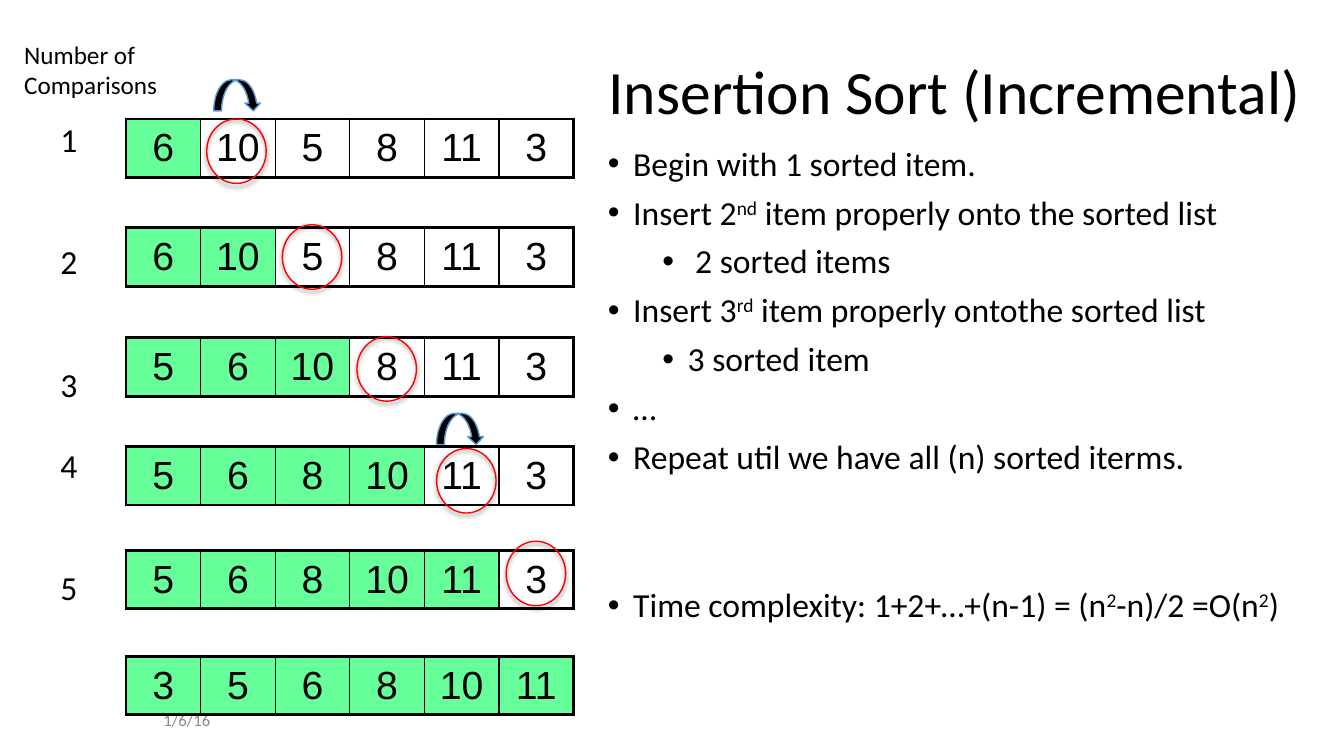
"""Build the insertion sort slide."""
from dataclasses import dataclass

from lxml.etree import SubElement as Sub
from pptx import Presentation
from pptx.dml.color import RGBColor as Color
from pptx.enum.shapes import MSO_SHAPE as Shape
from pptx.enum.text import MSO_ANCHOR as Anchor, MSO_AUTO_SIZE as Auto, PP_ALIGN as Align
from pptx.oxml.ns import qn
from pptx.util import Inches, Pt


@dataclass(frozen=True)
class Theme:
    """Fonts, colours and type sizes."""
    font: str = "Calibri"
    digit: str = "Arial"
    black: str = "000000"
    grey: str = "888888"
    green: str = "66FF99"
    red: str = "FF0000"
    blue: str = "5B9BD5"
    title: int = 44
    cell: int = 28
    body: int = 24
    label: int = 18
    small: int = 12
    thin: float = 1
    thick: float = 2.25


THEME = Theme()
LEFT, CELL, HIGH = 1.25, 0.74, 0.58
STEPS = [
    (1.18, "6 10 5 8 11 3", 1, (2.05, 1.18)),
    (2.26, "6 10 5 8 11 3", 2, (2.8, 2.23)),
    (3.35, "5 6 10 8 11 3", 3, (3.54, 3.34)),
    (4.43, "5 6 8 10 11 3", 4, (4.33, 4.45)),
    (5.46, "5 6 8 10 11 3", 5, (5.02, 5.37)),
    (6.51, "3 5 6 8 10 11", 6, None),
]
ARROWS = [(2.12, 0.79), (4.33, 4.1)]
COUNTS = [("1", 0), ("2", 2), ("3", 2), ("4", 1), ("5", 2)]
LINE = 29.3
POINTS = [
    (0, "Begin with 1 sorted item.", 9),
    (0, "Insert 2^nd^ item properly onto the sorted list", 9),
    (1, " 2 sorted items", 9),
    (0, "Insert 3^rd^ item properly ontothe sorted list", 9),
    (1, "3 sorted item", 9),
    (0, "…", 9),
    (0, "Repeat util we have all (n) sorted iterms.", 9),
    (0, "Time complexity: 1+2+…+(n-1) = (n^2^-n)/2 =O(n^2^)", 80),
]


def style(para, size, color=THEME.black, font=THEME.font):
    """Format every run of a paragraph."""
    for run in para.runs:
        run.font.size = Pt(size)
        run.font.name = font
        run.font.color.rgb = Color.from_string(color)


def place(shape, left, top, width, height):
    """Move and size a shape, in inches."""
    shape.left, shape.top = Inches(left), Inches(top)
    shape.width, shape.height = Inches(width), Inches(height)


def frame(shape, inset=0, anchor=Anchor.TOP, wrap=True):
    """Set up the text frame of a shape and return it."""
    text = shape.text_frame
    text.auto_size = Auto.NONE
    text.word_wrap = wrap
    text.vertical_anchor = anchor
    text.margin_left = text.margin_right = Inches(inset)
    text.margin_top = text.margin_bottom = Inches(inset)
    return text


def label(slide, box, words, size, color=THEME.black, **setup):
    """Add a text box and return its frame."""
    shape = slide.shapes.add_textbox(*map(Inches, box))
    text = frame(shape, **setup)
    text.text = words
    for para in text.paragraphs:
        style(para, size, color)
    return text


def head(slide):
    """Fill the title."""
    shape = slide.shapes.title
    place(shape, 6.03, 0.4, 6.88, 1.07)
    text = frame(shape, anchor=Anchor.MIDDLE)
    text.text = "Insertion Sort (Incremental)"
    para = text.paragraphs[0]
    para.alignment = Align.CENTER
    para.line_spacing = 0.9
    style(para, THEME.title)


def point(para, level, words, gap):
    """Write one bullet, raising the parts between carets."""
    for i, part in enumerate(words.split("^")):
        run = para.add_run()
        run.text = part
        if i % 2:
            run.font._element.set("baseline", "30000")
    style(para, THEME.body)
    para.level = level
    para.line_spacing = 0.9
    para.space_before = Pt(gap)
    props = para._p.get_or_add_pPr()
    props.set("marL", str(Inches(0.79 if level else 0.25)))
    props.set("indent", str(Inches(-0.25)))
    Sub(props, qn("a:buChar")).set("char", "•")


def points(slide):
    """Fill the body list."""
    shape = slide.placeholders[1]
    place(shape, 6.03, 1.46, 6.88, 5.54)
    text = frame(shape)
    for i, item in enumerate(POINTS):
        point(text.add_paragraph() if i else text.paragraphs[0], *item)


def edges(cell, first, last):
    """Draw the four borders of a cell."""
    props = cell._tc.get_or_add_tcPr()
    sides = {"L": first, "R": last, "T": True, "B": True}
    for i, (side, thick) in enumerate(sides.items()):
        line = Sub(props, qn("a:ln" + side))
        line.set("w", str(Pt(THEME.thick if thick else THEME.thin)))
        fill = Sub(line, qn("a:solidFill"))
        Sub(fill, qn("a:srgbClr")).set("val", THEME.black)
        props.insert(i, line)


def row(slide, top, values, done):
    """Add one list of numbers with its sorted part in green."""
    values = values.split()
    size = map(Inches, (LEFT, top, CELL * len(values), HIGH))
    table = slide.shapes.add_table(1, len(values), *size).table
    table.first_row = table.horz_banding = False
    for i, value in enumerate(values):
        table.columns[i].width = Inches(CELL)
        cell = table.cell(0, i)
        cell.margin_left = cell.margin_right = Inches(0.05)
        cell.margin_top = cell.margin_bottom = Inches(0.05)
        cell.vertical_anchor = Anchor.MIDDLE
        cell.text = value
        para = cell.text_frame.paragraphs[0]
        para.alignment = Align.CENTER
        para.space_before = Pt(6)
        style(para, THEME.cell, font=THEME.digit)
        if i < done:
            cell.fill.solid()
            cell.fill.fore_color.rgb = Color.from_string(THEME.green)
        else:
            cell.fill.background()
        edges(cell, i == 0, i == len(values) - 1)


def outline(slide, kind, box, color):
    """Add a preset shape with a thin line and no shadow."""
    shape = slide.shapes.add_shape(kind, *map(Inches, box))
    shape.shadow.inherit = False
    shape.fill.background()
    shape.line.color.rgb = Color.from_string(color)
    shape.line.width = Pt(THEME.thin)
    return shape


def arrow(slide, left, top):
    """Add a curved arrow."""
    shape = outline(slide, Shape.CURVED_DOWN_ARROW, (left, top, 0.47, 0.31), THEME.blue)
    shape.fill.solid()
    shape.fill.fore_color.rgb = Color.from_string(THEME.black)


def ring(slide, left, top):
    """Add a red ring with a soft shadow."""
    shape = outline(slide, Shape.OVAL, (left, top, 0.59, 0.64), THEME.red)
    shade = Sub(shape._element.spPr.find(qn("a:effectLst")), qn("a:outerShdw"))
    for key, value in (("blurRad", Pt(3)), ("dist", Pt(2)), ("dir", 90 * 60000)):
        shade.set(key, str(value))
    tint = Sub(shade, qn("a:srgbClr"))
    tint.set("val", THEME.black)
    Sub(tint, qn("a:alpha")).set("val", "50000")


def main():
    """Build and save the slide."""
    deck = Presentation()
    deck.slide_width, deck.slide_height = Inches(13.33), Inches(7.5)
    slide = deck.slides.add_slide(deck.slide_layouts[1])
    head(slide)
    points(slide)
    label(slide, (1.62, 7, 3, 0.29), "1/6/16", THEME.small, THEME.grey, anchor=Anchor.MIDDLE)
    for top, values, done, _ in STEPS:
        row(slide, top, values, done)
    words = "\n".join(count for count, _ in COUNTS)
    text = label(slide, (0.6, 1.18, 0.4, 5), words, THEME.body)
    for para, (_, skip) in zip(text.paragraphs, COUNTS):
        para.space_before = Pt(skip * LINE)
    label(slide, (0.19, 0.34, 1.43, 0.71), "Number of\nComparisons", THEME.label, inset=0.05, wrap=False)
    for spot in ARROWS:
        arrow(slide, *spot)
    for *_, spot in STEPS:
        if spot:
            ring(slide, *spot)
    deck.save("out.pptx")


if __name__ == "__main__":
    main()
